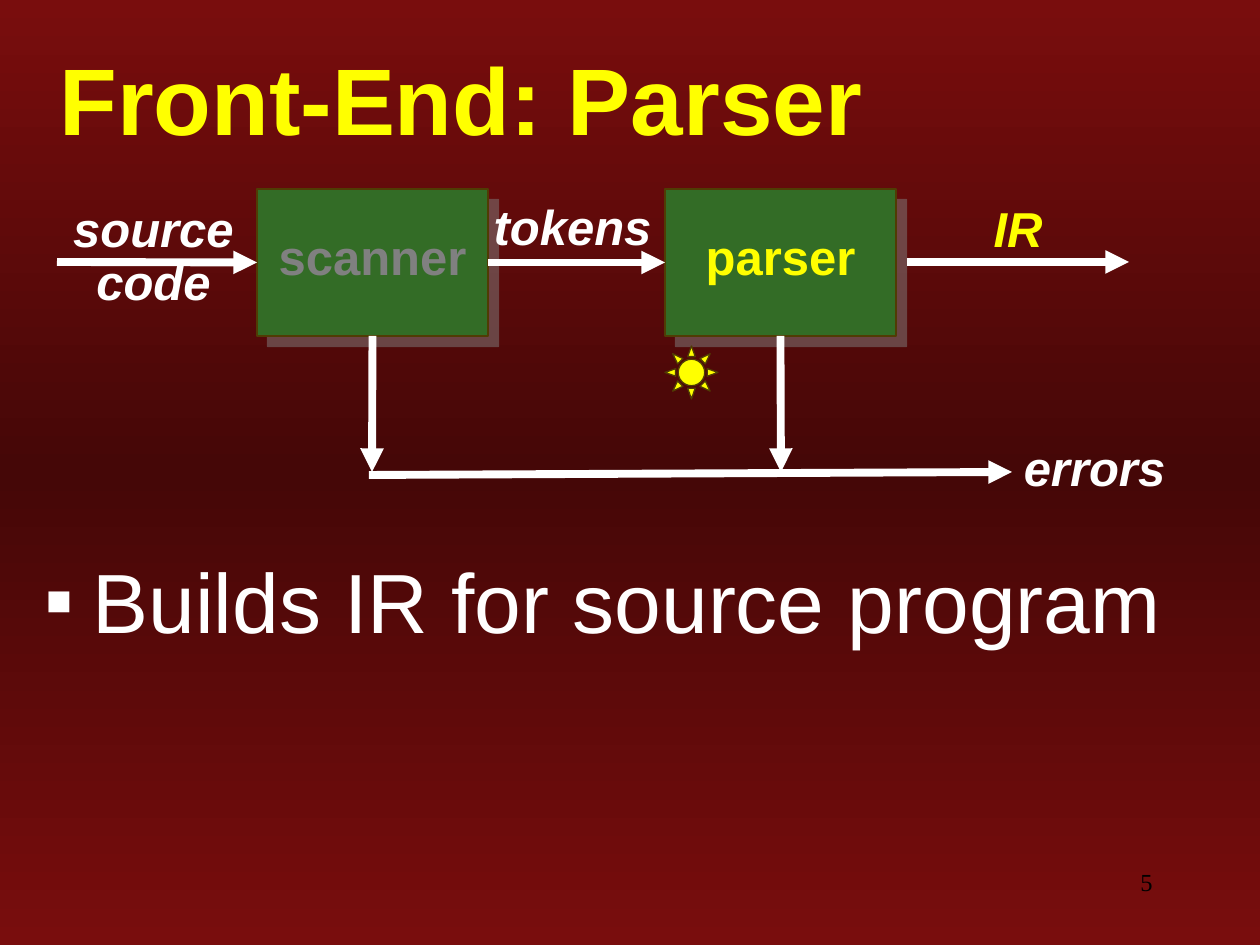
"""Build the Front-End: Parser slide with its compiler pipeline diagram."""
from dataclasses import dataclass
from typing import Optional

from pptx import Presentation, oxml
from pptx import util as u
from pptx.dml.color import RGBColor
from pptx.enum import shapes, text
from pptx.oxml import ns

EMU_PER_PX = 914400 / 126
COLORS = {
    "edge": "790D0D", "middle": "450707", "box": "336C26", "outline": "503C04",
    "yellow": "FFFF00", "white": "FFFFFF", "gray": "808080", "black": "000000",
    "title_shadow": "CCCCFF",
}
TOP, LEFT, BOTTOM, RIGHT = range(4)


@dataclass(frozen=True)
class Label:
    lines: tuple[str, ...]
    left: int
    top: int
    width: int
    height: int
    color: str = "white"
    size: int = 28
    font: str = "Arial"
    bold: bool = True
    italic: bool = True
    align: text.PP_ALIGN = text.PP_ALIGN.CENTER
    anchor: text.MSO_ANCHOR = text.MSO_ANCHOR.TOP
    spacing: Optional[float] = 0.9
    wrap: bool = True


@dataclass(frozen=True)
class Stage:
    name: str
    left: int
    color: str


@dataclass(frozen=True)
class Arrow:
    start: tuple[int, int]
    end: tuple[int, int]
    source: Optional[tuple[str, int]] = None
    target: Optional[tuple[str, int]] = None


STAGE_TOP, STAGE_WIDTH, STAGE_HEIGHT = 189, 231, 147
STAGES = (Stage("scanner", 257, "gray"), Stage("parser", 665, "yellow"))
ARROWS = (
    Arrow((57, 262), (257, 262), target=("scanner", LEFT)),
    Arrow((488, 262), (665, 262), ("scanner", RIGHT), ("parser", LEFT)),
    Arrow((907, 262), (1129, 262)),
    Arrow((369, 475), (1012, 472)),
    Arrow((372, 336), (372, 472), ("scanner", BOTTOM)),
    Arrow((781, 336), (781, 472), ("parser", BOTTOM)),
)
LABELS = (
    Label(("source", "code"), 47, 199, 213, 118),
    Label(("tokens",), 466, 197, 213, 66),
    Label(("IR",), 896, 199, 244, 66, "yellow"),
    Label(("errors",), 988, 438, 213, 66),
)
TITLE = Label(("Front-End: Parser",), 47, 45, 1213, 105, "yellow", 54, italic=False,
              align=text.PP_ALIGN.LEFT, anchor=text.MSO_ANCHOR.MIDDLE, spacing=None)
BODY = Label(("Builds IR for source program",), 32, 543, 1228, 349, size=48, bold=False,
             italic=False, align=text.PP_ALIGN.LEFT, spacing=None)
NUMBER = Label(("5",), 903, 861, 262, 63, "black", 14, "Times New Roman", False, False,
               text.PP_ALIGN.RIGHT, spacing=None)


def px(length: int) -> int:
    return round(length * EMU_PER_PX)


def rgb(name: str) -> RGBColor:
    return RGBColor.from_string(COLORS[name])


def xml(markup: str):
    tag, rest = markup.split(" ", 1)
    return oxml.parse_xml(f"{tag} {ns.nsdecls('a', 'p')} {rest}")


def shadow_xml(color: str, distance: int, opacity: int):
    return xml(f'<a:outerShdw blurRad="0" dist="{distance}" dir="2700000" algn="tl" rotWithShape="0">'
               f'<a:srgbClr val="{COLORS[color]}"><a:alpha val="{opacity * 1000}"/>'
               '</a:srgbClr></a:outerShdw>')


def paint_background(slide) -> None:
    stops = "".join(f'<a:gs pos="{position * 1000}"><a:srgbClr val="{COLORS[name]}"/></a:gs>'
                    for position, name in ((0, "edge"), (50, "middle"), (100, "edge")))
    slide.element.cSld.insert(0, xml(
        f'<p:bg ><p:bgPr><a:gradFill rotWithShape="1"><a:gsLst>{stops}</a:gsLst>'
        '<a:lin ang="5400000" scaled="0"/></a:gradFill><a:effectLst/></p:bgPr></p:bg>'))


def add_label(slide, label: Label):
    shape = slide.shapes.add_textbox(*map(px, (label.left, label.top, label.width, label.height)))
    frame = shape.text_frame
    frame.word_wrap = label.wrap
    frame.vertical_anchor = label.anchor
    paragraph = frame.paragraphs[0]
    paragraph.alignment = label.align
    if label.spacing:
        paragraph.line_spacing = label.spacing
    for index, line in enumerate(label.lines):
        if index:
            paragraph.add_line_break()
        run = paragraph.add_run()
        run.text = line
        font = run.font
        font.name, font.size = label.font, u.Pt(label.size)
        font.bold, font.italic = label.bold, label.italic
        font.color.rgb = rgb(label.color)
    return paragraph


def add_title(slide) -> None:
    properties = add_label(slide, TITLE).runs[0].font._element
    effects = xml("<a:effectLst />")
    effects.append(shadow_xml("title_shadow", 17961, 100))
    properties.find(ns.qn("a:solidFill")).addnext(effects)


def add_body(slide) -> None:
    properties = add_label(slide, BODY)._p.get_or_add_pPr()
    properties.set("marL", str(px(48)))
    properties.set("indent", str(px(-48)))
    properties.append(xml(f'<a:buClr ><a:srgbClr val="{COLORS["white"]}"/></a:buClr>'))
    properties.append(xml('<a:buFont typeface="Arial"/>'))
    properties.append(xml('<a:buChar char="▪"/>'))


def add_figure(slide, kind, left: int, top: int, width: int, height: int, fill: str):
    shape = slide.shapes.add_shape(kind, *map(px, (left, top, width, height)))
    shape.shadow.inherit = False
    shape.fill.solid()
    shape.fill.fore_color.rgb = rgb(fill)
    shape.line.color.rgb = rgb("outline")
    shape.line.width = u.Pt(0.75)
    return shape


def add_stage(slide, stage: Stage):
    shape = add_figure(slide, shapes.MSO_SHAPE.RECTANGLE, stage.left, STAGE_TOP,
                       STAGE_WIDTH, STAGE_HEIGHT, "box")
    effects = shape._element.spPr.find(ns.qn("a:effectLst"))
    effects.append(shadow_xml("gray", u.Pt(8.5), 50))
    add_label(slide, Label((stage.name,), stage.left, 220, STAGE_WIDTH, 72, stage.color,
                           italic=False, spacing=None, wrap=False))
    return shape


def add_arrow(slide, arrow: Arrow, boxes: dict) -> None:
    connector = slide.shapes.add_connector(shapes.MSO_CONNECTOR.STRAIGHT,
                                           *map(px, arrow.start + arrow.end))
    if arrow.source:
        connector.begin_connect(boxes[arrow.source[0]], arrow.source[1])
    if arrow.target:
        connector.end_connect(boxes[arrow.target[0]], arrow.target[1])
    connector.line.color.rgb = rgb("white")
    connector.line.width = u.Pt(4.5)
    connector.line._get_or_add_ln().append(xml('<a:tailEnd type="triangle"/>'))
    connector._element.spPr.append(xml("<a:effectLst />"))


def main() -> None:
    presentation = Presentation()
    presentation.slide_width, presentation.slide_height = px(1260), px(945)
    slide = presentation.slides.add_slide(presentation.slide_layouts[6])
    paint_background(slide)
    add_title(slide)
    add_body(slide)
    boxes = {stage.name: add_stage(slide, stage) for stage in STAGES}
    for arrow in ARROWS:
        add_arrow(slide, arrow, boxes)
    for label in LABELS:
        add_label(slide, label)
    add_figure(slide, shapes.MSO_SHAPE.SUN, 665, 346, 53, 53, "yellow")
    add_label(slide, NUMBER)
    presentation.save("out.pptx")


if __name__ == "__main__":
    main()
